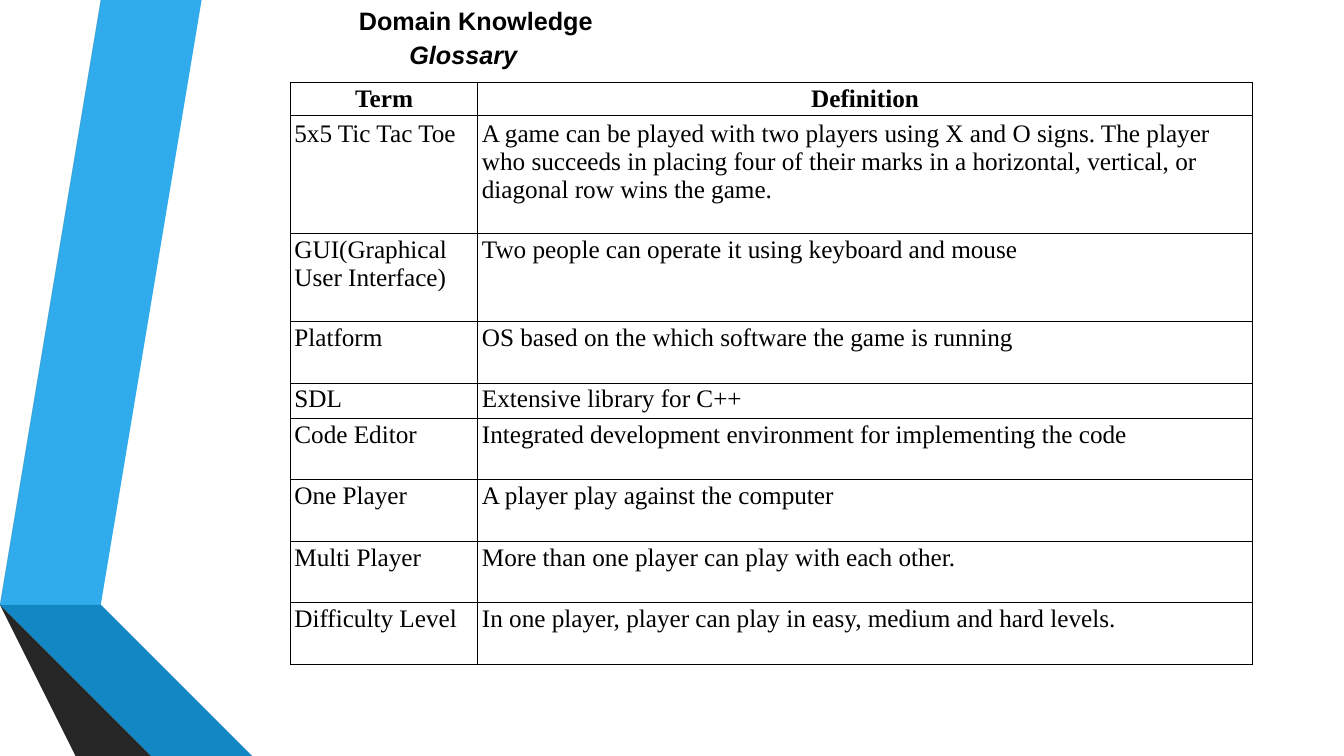
"""Builds the domain knowledge glossary slide."""
from lxml import etree
from pptx import Presentation
from pptx import util as u
from pptx.dml.color import RGBColor
from pptx.enum import text
from pptx.oxml.ns import qn

TITLE, SUBTITLE = "Domain Knowledge", "Glossary"
GLOSSARY = [
    ("Term", "Definition"),
    ("5x5 Tic Tac Toe", "A game can be played with two players using X and O signs. "
     "The player who succeeds in placing four of their marks in a horizontal, "
     "vertical, or diagonal row wins the game."),
    ("GUI(Graphical User Interface)", "Two people can operate it using keyboard and mouse"),
    ("Platform", "OS based on the which software the game is running"),
    ("SDL", "Extensive library for C++"),
    ("Code Editor", "Integrated development environment for implementing the code"),
    ("One Player", "A player play against the computer"),
    ("Multi Player", "More than one player can play with each other."),
    ("Difficulty Level", "In one player, player can play in easy, medium and hard levels."),
]
COLORS = {
    "ink": "000000", "sky": "30ACEC", "blue": "1287C3", "navy": "0C5A82",
    "gray": "595959", "charcoal": "404040", "soot": "262626",
}
RIBBONS = [
    ("sky", [(0.5, 5.78), (0.77, 5.83), (1.73, 0), (1.45, 0)]),
    ("gray", [(1.39, 0), (1.11, 0), (0.16, 5.73), (0.44, 5.77)]),
    ("soot", [(0.16, 5.73), (1.45, 7.5), (1.51, 7.5)]),
    ("navy", [(0.5, 5.79), (2.08, 7.5), (2.14, 7.5)]),
    ("blue", [(0.5, 5.79), (2.14, 7.5), (2.83, 7.5), (0.77, 5.83), (0.5, 5.78)]),
    ("charcoal", [(2.02, 7.5), (0.48, 5.83), (0.43, 5.77), (0.16, 5.73), (1.51, 7.5)]),
]
WIDTH, HEIGHT = 13.33, 7.5
TABLE_LEFT, TABLE_TOP = 2.88, 0.82
COLUMNS = [1.86, 7.68]
ROWS = [0.33, 1.17, 0.87, 0.61, 0.35] + [0.61] * 4


def color(name):
    return RGBColor.from_string(COLORS[name])


def style(p, font, bold, italic=False):
    for r in p.runs:
        r.font.name, r.font.size = font, u.Pt(18)
        r.font.bold, r.font.italic = bold, italic
        r.font.color.rgb = color("ink")


def add_ribbons(s):
    for name, points in RIBBONS:
        builder = s.shapes.build_freeform(*points[0], scale=u.Inches(1))
        builder.add_line_segments(points[1:], close=True)
        sp = builder.convert_to_shape()
        sp.shadow.inherit = False
        sp.fill.solid()
        sp.fill.fore_color.rgb = color(name)
        sp.line.fill.background()


def add_heading(s):
    sp = s.shapes.title
    sp.left, sp.top, sp.width, sp.height = map(u.Inches, (3.46, 0, WIDTH / 2, 0.75))
    tf = sp.text_frame
    tf.text = f"{TITLE}\n{SUBTITLE}"
    tf.word_wrap = True
    tf.auto_size = text.MSO_AUTO_SIZE.NONE
    tf.vertical_anchor = text.MSO_ANCHOR.TOP
    for i, p in enumerate(tf.paragraphs):
        p.alignment = text.PP_ALIGN.LEFT
        p.space_after = u.Pt(3)
        p._p.get_or_add_pPr().set("marL", str(u.Inches(0.5 * i)))
        style(p, "Arial", True, i == 1)


def add_borders(cell):
    tcPr = cell._tc.get_or_add_tcPr()
    for side in ("lnL", "lnR", "lnT", "lnB"):
        ln = etree.SubElement(tcPr, qn(f"a:{side}"), w=str(u.Pt(0.75)))
        fill = etree.SubElement(ln, qn("a:solidFill"))
        etree.SubElement(fill, qn("a:srgbClr"), val=COLORS["ink"])


def add_glossary(s):
    frame = s.shapes.add_table(len(ROWS), len(COLUMNS), *map(
        u.Inches, (TABLE_LEFT, TABLE_TOP, sum(COLUMNS), sum(ROWS))))
    table = frame.table
    table.first_row = table.horz_banding = False
    for column, width in zip(table.columns, COLUMNS):
        column.width = u.Inches(width)
    for i, (row, height, words) in enumerate(zip(table.rows, ROWS, GLOSSARY)):
        row.height = u.Inches(height)
        for cell, word in zip(row.cells, words):
            cell.margin_left = cell.margin_right = u.Inches(0.04)
            cell.margin_top = cell.margin_bottom = u.Pt(2.8 if i == 1 else 1.8)
            add_borders(cell)
            cell.fill.background()
            cell.text_frame.text = word
            p = cell.text_frame.paragraphs[0]
            p.alignment = text.PP_ALIGN.LEFT if i else text.PP_ALIGN.CENTER
            p.space_after = u.Pt(10)
            style(p, "Times New Roman", i == 0)


def main():
    prs = Presentation()
    prs.slide_width, prs.slide_height = u.Inches(WIDTH), u.Inches(HEIGHT)
    s = prs.slides.add_slide(prs.slide_layouts.get_by_name("Title Only"))
    add_ribbons(s)
    add_glossary(s)
    add_heading(s)
    prs.save("out.pptx")


if __name__ == "__main__":
    main()
